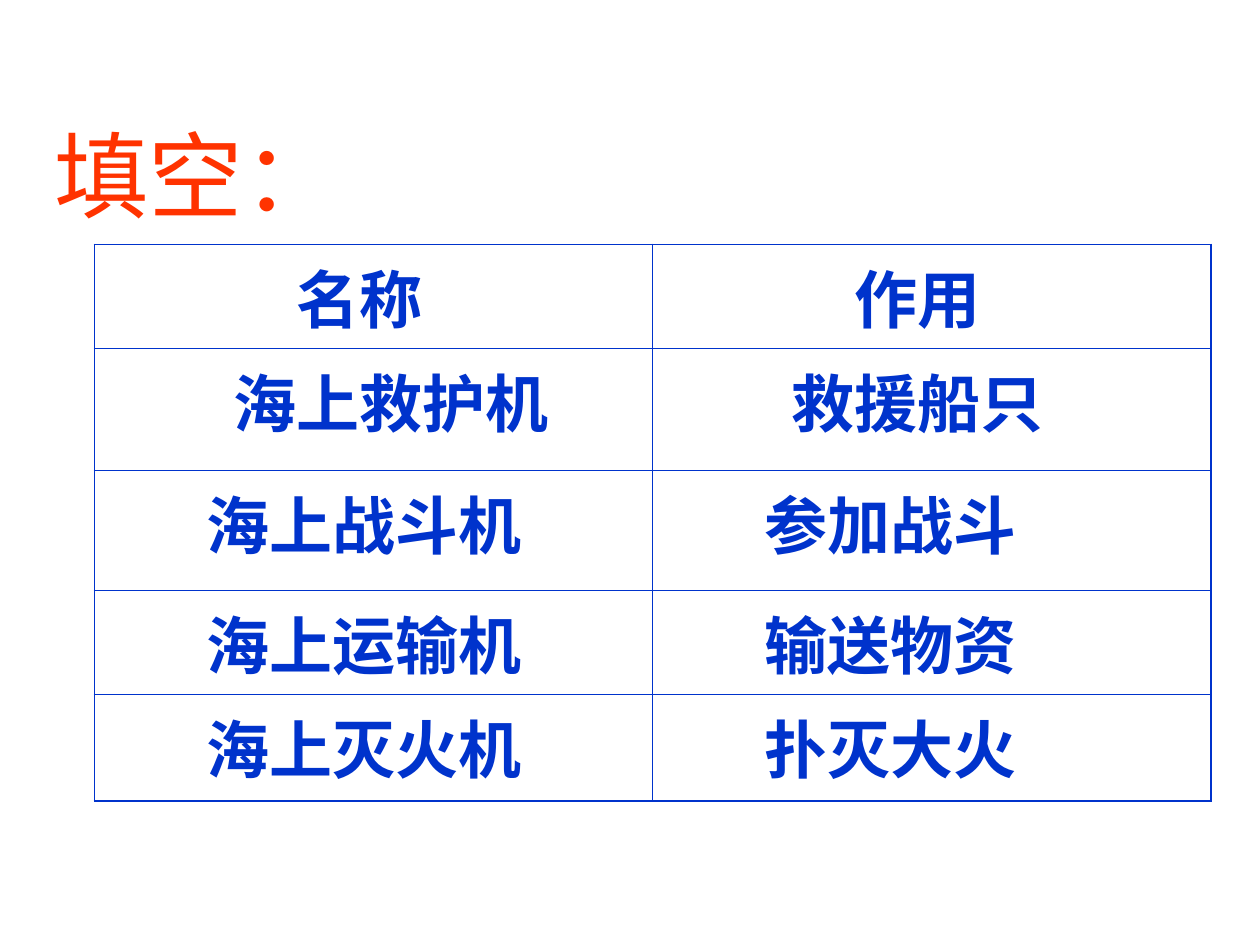
from lxml import etree
from pptx import Presentation
from pptx.dml.color import RGBColor
from pptx.enum import text
from pptx.oxml import ns
from pptx.util import Inches, Pt

COLORS = {"title": "FF3300", "table": "0033CC"}
FONT = "Arial"
TITLE = "填空："
ROWS = [
    (0.78, 1.5, ("名称", "作用")),
    (0.97, 1.0, ("海上救护机", "救援船只")),
    (0.95, 0.79, ("海上战斗机", "参加战斗")),
    (0.78, 0.79, ("海上运输机", "输送物资")),
    (0.85, 0.79, ("海上灭火机", "扑灭大火")),
]
COLUMN_WIDTH = 4.43
OUTER, INNER = 1.08, 0.45


def add_span(para, words, size, color, bold=False):
    span = para.add_run()
    span.text = words
    span.font.name = FONT
    span.font.size = Pt(size)
    span.font.bold = bold
    span.font.color.rgb = RGBColor.from_string(COLORS[color])


def set_borders(cell, widths):
    properties = cell._tc.get_or_add_tcPr()
    for index, (side, width) in enumerate(widths.items()):
        line = etree.Element(ns.qn(f"a:ln{side}"), w=str(Pt(width)))
        fill = etree.SubElement(line, ns.qn("a:solidFill"))
        etree.SubElement(fill, ns.qn("a:srgbClr"), val=COLORS["table"])
        properties.insert(index, line)


deck = Presentation()
deck.slide_width, deck.slide_height = Inches(10), Inches(7.5)
page = deck.slides.add_slide(deck.slide_layouts[5])

title = page.shapes.title
title.left, title.top = Inches(0.33), Inches(0.75)
title.width, title.height = Inches(9.34), Inches(1.25)
frame = title.text_frame
frame.auto_size = text.MSO_AUTO_SIZE.NONE
frame.vertical_anchor = text.MSO_ANCHOR.MIDDLE
frame.paragraphs[0].alignment = text.PP_ALIGN.LEFT
add_span(frame.paragraphs[0], TITLE, 54, "title")

column_count = len(ROWS[0][2])
table = page.shapes.add_table(
    len(ROWS), column_count, Inches(0.75), Inches(1.94),
    Inches(COLUMN_WIDTH * column_count), Inches(sum(row[0] for row in ROWS)),
).table
table.horz_banding = False
for column in table.columns:
    column.width = Inches(COLUMN_WIDTH)

for row_index, (height, indent, labels) in enumerate(ROWS):
    table.rows[row_index].height = Inches(height)
    for column_index, label in enumerate(labels):
        cell = table.cell(row_index, column_index)
        cell.fill.background()
        set_borders(cell, {
            "L": OUTER if column_index == 0 else INNER,
            "R": OUTER if column_index == column_count - 1 else INNER,
            "T": OUTER if row_index == 0 else INNER,
            "B": OUTER if row_index == len(ROWS) - 1 else INNER,
        })
        para = cell.text_frame.paragraphs[0]
        para._p.get_or_add_pPr().set("marL", str(Inches(indent)))
        add_span(para, label, 36, "table", bold=True)

deck.save("out.pptx")
